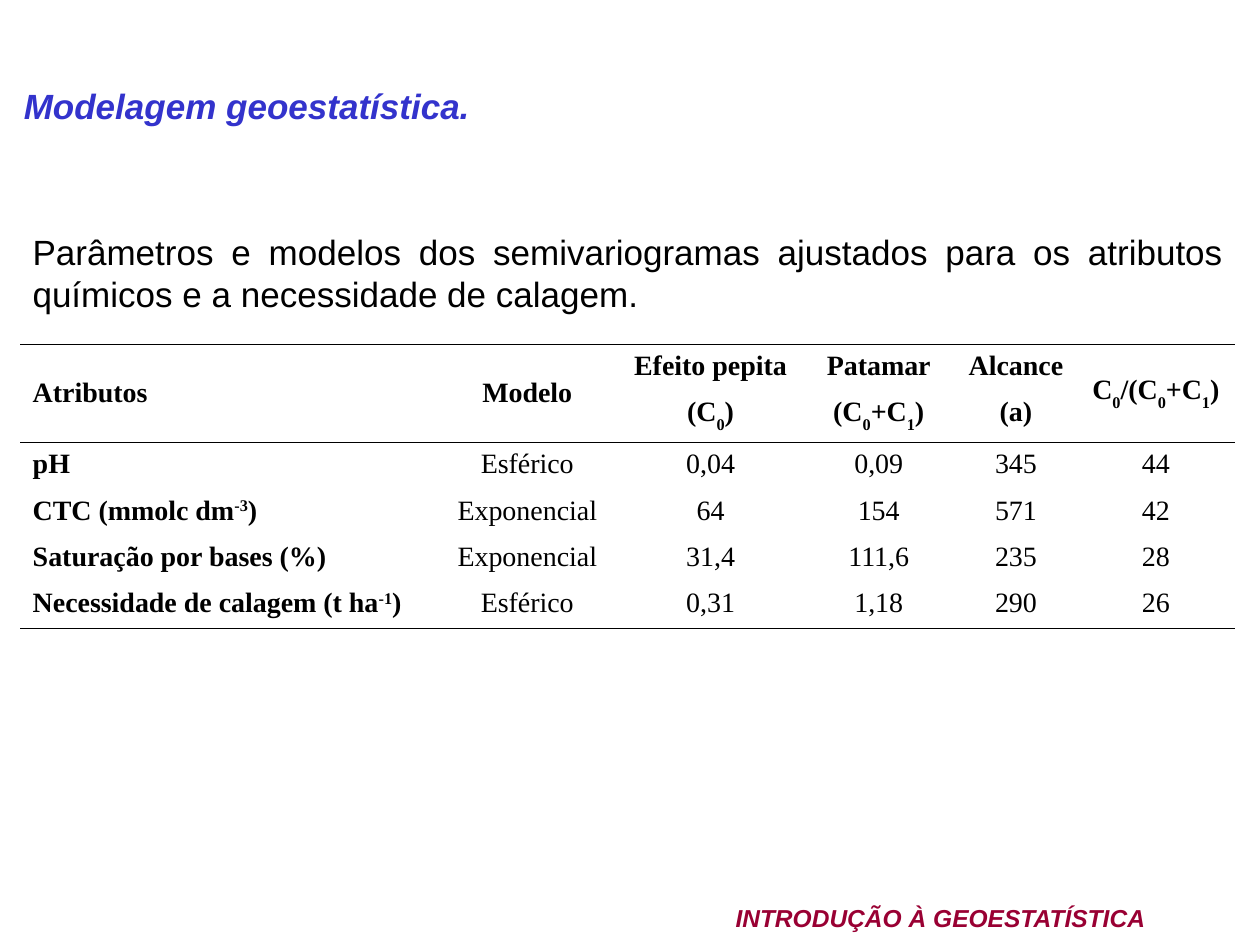
from dataclasses import dataclass
from lxml import etree
from pptx import Presentation
from pptx.dml.color import RGBColor
from pptx.enum import text
from pptx.oxml import ns
from pptx.util import Pt


@dataclass(frozen=True)
class Theme:
    sans: str = "Arial"
    serif: str = "Times New Roman"
    ink: str = "000000"
    title: str = "3333CC"
    footer: str = "990033"
    body_size: int = 20
    table_size: int = 16
    footer_size: int = 14
    rule: float = 0.45


THEME = Theme()
ALIGN = text.PP_ALIGN
ANCHOR = text.MSO_ANCHOR

COLUMNS = [237.6, 104.4, 105.1, 87.1, 69.8, 90]
ROWS = [26.5, 29.5] + [26.5] * 4
# Every second piece between bars is raised or lowered
CELLS = [
    ["Atributos", "Modelo", "Efeito pepita", "Patamar", "Alcance", "C|0|/(C|0|+C|1|)"],
    ["", "", "(C|0|)", "(C|0|+C|1|)", "(a)", ""],
    ["pH", "Esférico", "0,04", "0,09", "345", "44"],
    ["CTC (mmolc dm|-3|)", "Exponencial", "64", "154", "571", "42"],
    ["Saturação por bases (%)", "Exponencial", "31,4", "111,6", "235", "28"],
    ["Necessidade de calagem (t ha|-1|)", "Esférico", "0,31", "1,18", "290", "26"],
]
HEADER_ROWS = 2
TALL_COLUMNS = [0, 1, 5]
RULES = {0, HEADER_ROWS, len(ROWS)}  # row boundaries that carry a line


def add_span(para, words, color, **formats):
    span = para.add_run()
    span.text = words
    for name, value in formats.items():
        setattr(span.font, name, value)
    span.font.color.rgb = RGBColor.from_string(color)
    return span


def add_text(page, box, words, align, anchor, color, **formats):
    frame = page.shapes.add_textbox(*map(Pt, box)).text_frame
    frame.word_wrap = True
    frame.vertical_anchor = anchor
    para = frame.paragraphs[0]
    para.alignment = align
    add_span(para, words, color, name=THEME.sans, **formats)


def add_title(page, box):
    add_text(page, box, "Modelagem geoestatística.", ALIGN.JUSTIFY, ANCHOR.MIDDLE,
             THEME.title, size=Pt(THEME.body_size), bold=True, italic=True)


def add_caption(page, box):
    add_text(page, box, "Parâmetros e modelos dos semivariogramas ajustados para os "
             "atributos químicos e a necessidade de calagem.", ALIGN.JUSTIFY,
             ANCHOR.MIDDLE, THEME.ink, size=Pt(THEME.body_size))


def add_footer(page, box):
    add_text(page, box, "INTRODUÇÃO À GEOESTATÍSTICA", ALIGN.RIGHT, ANCHOR.TOP,
             THEME.footer, size=Pt(THEME.footer_size), bold=True, italic=True)


def set_borders(cell, top, bottom):
    properties = cell._tc.get_or_add_tcPr()
    sides = {"a:lnL": False, "a:lnR": False, "a:lnT": top, "a:lnB": bottom}
    for place, (tag, ruled) in enumerate(sides.items()):
        line = etree.Element(ns.qn(tag), w=str(int(Pt(THEME.rule))))
        properties.insert(place, line)
        if ruled:
            fill = etree.SubElement(line, ns.qn("a:solidFill"))
            etree.SubElement(fill, ns.qn("a:srgbClr"), val=THEME.ink)
        else:
            etree.SubElement(line, ns.qn("a:noFill"))


def fill_cell(cell, words, bold, align):
    para = cell.text_frame.paragraphs[0]
    para.alignment = align
    for place, piece in enumerate(words.split("|")):
        if not piece:
            continue
        span = add_span(para, piece, THEME.ink, name=THEME.serif,
                        size=Pt(THEME.table_size), bold=bold)
        if place % 2:
            shift = 30000 if piece.startswith("-") else -30000
            span._r.get_or_add_rPr().set("baseline", str(shift))


def add_parameters(page, box):
    table = page.shapes.add_table(len(ROWS), len(COLUMNS), *map(Pt, box)).table
    table.first_row = table.horz_banding = False
    for column, width in zip(table.columns, COLUMNS):
        column.width = Pt(width)
    for row, height in zip(table.rows, ROWS):
        row.height = Pt(height)

    for r, line in enumerate(CELLS):
        for c, words in enumerate(line):
            cell = table.cell(r, c)
            tall = r < HEADER_ROWS and c in TALL_COLUMNS
            cell.fill.background()
            set_borders(cell, r in RULES, r + 1 in RULES or tall)
            if words:
                fill_cell(cell, words, r < HEADER_ROWS or c == 0,
                          ALIGN.CENTER if c else ALIGN.LEFT)

    # Header cells that span both header rows
    for c in TALL_COLUMNS:
        cell = table.cell(0, c)
        cell.merge(table.cell(HEADER_ROWS - 1, c))
        cell.vertical_anchor = ANCHOR.MIDDLE


def main():
    deck = Presentation()
    deck.slide_width, deck.slide_height = Pt(720), Pt(540)
    page = deck.slides.add_slide(deck.slide_layouts[6])
    add_footer(page, (411, 512.6, 250.6, 25))
    add_parameters(page, (11.5, 196.6, sum(COLUMNS), sum(ROWS)))
    add_caption(page, (11.5, 128.2, 694.8, 55.4))
    add_title(page, (6.5, 44.5, 694.8, 31.5))
    deck.save("out.pptx")


if __name__ == "__main__":
    main()
